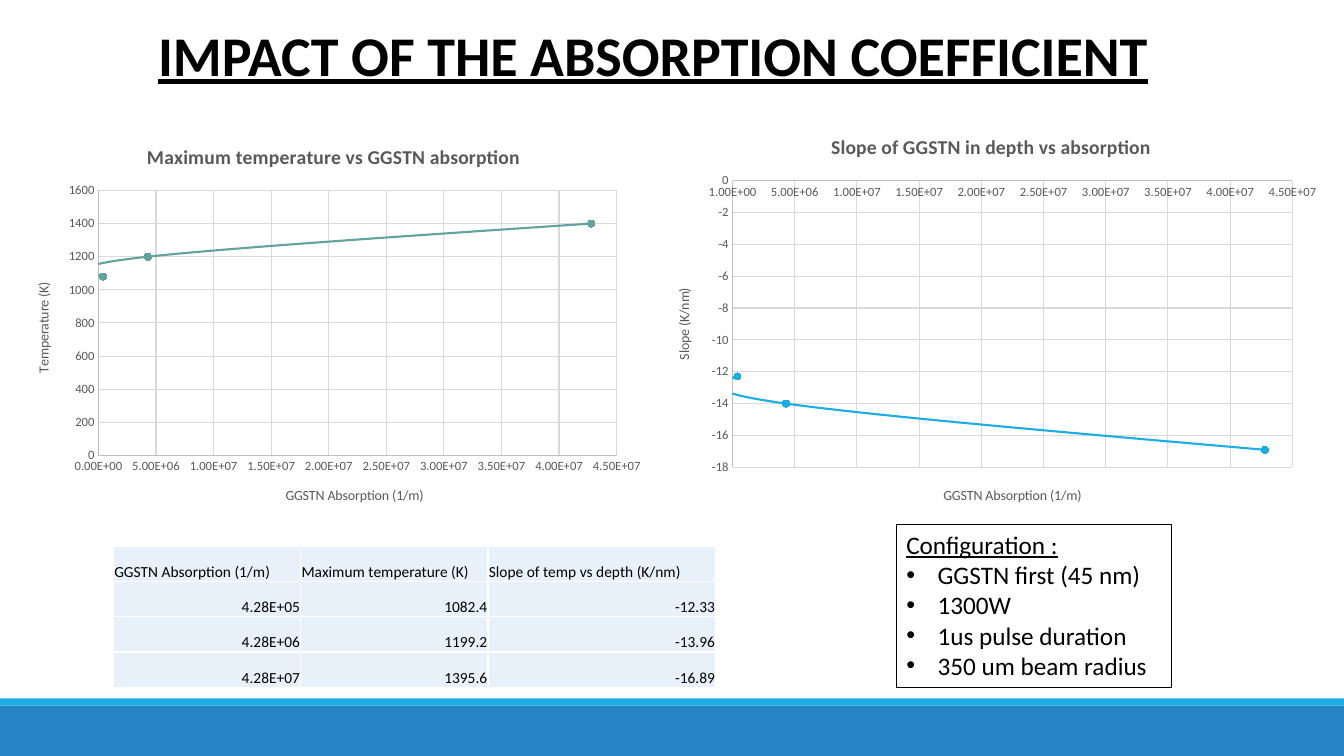
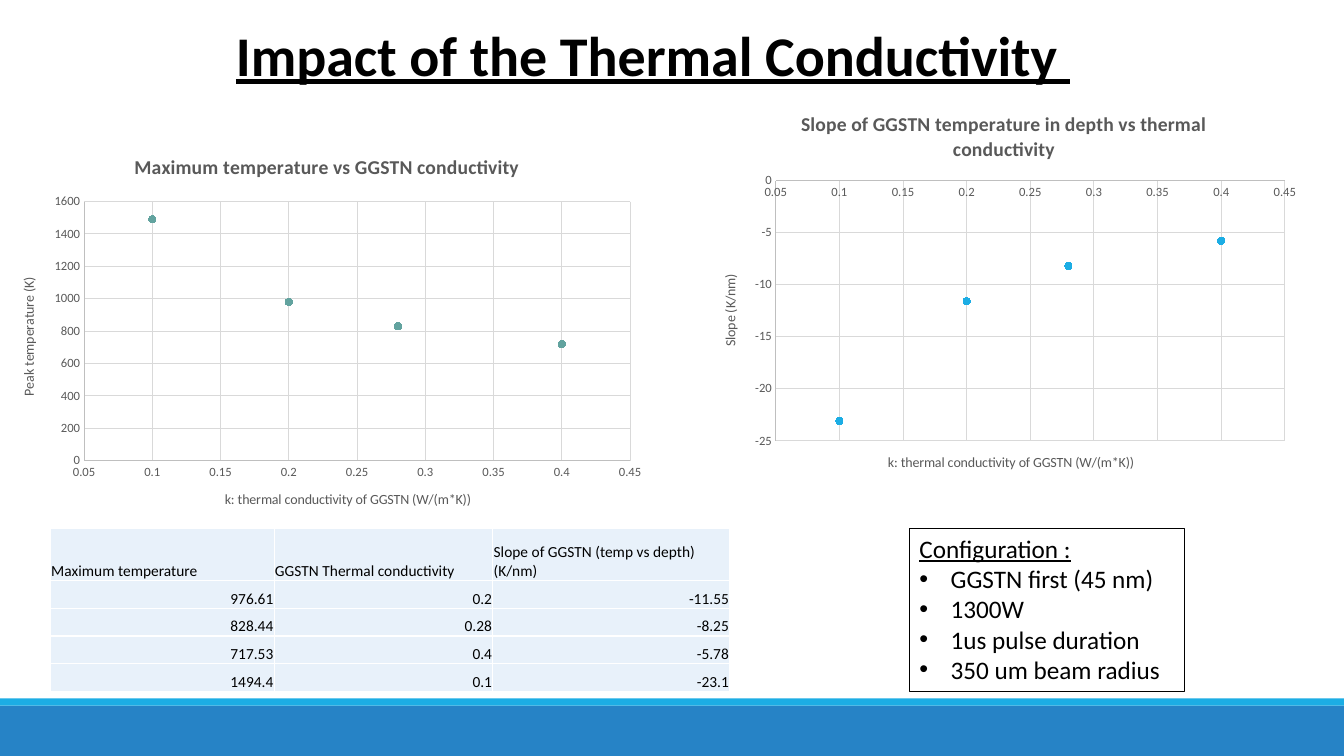
from dataclasses import dataclass

from lxml.etree import SubElement
from pptx import Presentation
from pptx.chart.data import XyChartData
from pptx.dml.color import RGBColor
from pptx.enum.chart import XL_CHART_TYPE, XL_MARKER_STYLE, XL_TICK_MARK
from pptx.enum.shapes import MSO_SHAPE
from pptx.enum.text import MSO_ANCHOR, MSO_AUTO_SIZE, PP_ALIGN
from pptx.oxml import parse_xml
from pptx.oxml.ns import nsdecls, qn
from pptx.util import Cm, Pt

FONT = "Calibri"
BLACK = RGBColor(0x00, 0x00, 0x00)
GREY_TEXT = RGBColor(0x59, 0x59, 0x59)
AXIS_GREY = RGBColor(0xBF, 0xBF, 0xBF)
GRID_GREY = RGBColor(0xD9, 0xD9, 0xD9)
BAND_BLUE = RGBColor(0x26, 0x83, 0xC6)
SKY = RGBColor(0x1C, 0xAD, 0xE4)
TEAL = RGBColor(0x62, 0xA3, 0x9F)
CELL_BLUE = RGBColor(0xE8, 0xF1, 0xFA)

SLIDE_WIDTH = 33.87
SLIDE_HEIGHT = 19.05
CONFIGURATION = ["GGSTN first (45 nm)", "1300W", "1us pulse duration", "350 um beam radius"]


@dataclass
class Axis:
    """title_at is in centimetres inside the chart; values are rounded to digits."""
    title: str
    title_at: tuple
    low: float
    high: float
    step: float
    column: int
    digits: int
    number_format: str = "General"

    def value(self, row):
        return round(float(row[self.column]), self.digits)


@dataclass
class Graph:
    """box is in centimetres on the slide, plot in centimetres inside the box."""
    title: str
    box: tuple
    plot: tuple
    x: Axis
    y: Axis
    color: RGBColor


def lengths(*values):
    return [Cm(value) for value in values]


def style_font(font, size, color=BLACK, bold=False):
    font.name = FONT
    font.size = Pt(size)
    font.color.rgb = color
    font.bold = bold


def add_master_bands(prs, slide):
    tree = prs.slide_master.element.cSld.spTree
    bands = [(17.78, 1.27, BAND_BLUE), (17.6, 0.18, SKY)]
    for number, (top, height, color) in enumerate(bands):
        band = slide.shapes.add_shape(
            MSO_SHAPE.RECTANGLE, *lengths(0, top, SLIDE_WIDTH, height))
        band.shadow.inherit = False
        band.fill.solid()
        band.fill.fore_color.rgb = color
        band.line.fill.background()
        band.element.nvSpPr.cNvPr.set("id", str(101 + number))
        tree.insert(2 + number, band.element)


def add_title(slide, text):
    title = slide.shapes.title
    title.left, title.top, title.width, title.height = lengths(3.63, 0.38, 25.65, 1.96)
    frame = title.text_frame
    frame.text = text
    frame.auto_size = MSO_AUTO_SIZE.NONE
    frame.vertical_anchor = MSO_ANCHOR.TOP
    paragraph = frame.paragraphs[0]
    paragraph.alignment = PP_ALIGN.CENTER
    font = paragraph.runs[0].font
    style_font(font, 40, bold=True)
    font.underline = True


def set_layout(parent, index, box, place, target=None):
    """Fix the place of a plot area or title inside its chart."""
    for old in parent.findall(qn("c:layout")):
        parent.remove(old)
    layout = parse_xml(f"<c:layout {nsdecls('c')}><c:manualLayout/></c:layout>")
    manual = layout[0]
    if target:
        SubElement(manual, qn("c:layoutTarget")).set("val", target)
    for side in "xy":
        SubElement(manual, qn(f"c:{side}Mode")).set("val", "edge")
    width, height = box[2:]
    for key, length, whole in zip("xywh", place, (width, height, width, height)):
        SubElement(manual, qn(f"c:{key}")).set("val", str(round(length / whole, 4)))
    parent.insert(index, layout)


def format_title(title, text, size, bold):
    title.text_frame.text = text
    style_font(title.text_frame.paragraphs[0].runs[0].font, size, GREY_TEXT, bold)


def format_axis(axis, settings, box):
    axis.minimum_scale = settings.low
    axis.maximum_scale = settings.high
    axis.major_unit = settings.step
    axis.major_tick_mark = axis.minor_tick_mark = XL_TICK_MARK.NONE
    axis.tick_labels.number_format = settings.number_format
    axis.tick_labels.number_format_is_linked = False
    style_font(axis.tick_labels.font, 9, GREY_TEXT)
    axis.has_major_gridlines = True
    for line, color in [(axis.format.line, AXIS_GREY),
                        (axis.major_gridlines.format.line, GRID_GREY)]:
        line.color.rgb = color
        line.width = Pt(0.75)
    format_title(axis.axis_title, settings.title, 10, False)
    set_layout(axis.axis_title.element, 1, box, settings.title_at)


def add_graph(slide, graph, rows, joined):
    data = XyChartData()
    points = data.add_series(graph.title)
    for row in rows:
        points.add_data_point(graph.x.value(row), graph.y.value(row))
    kind = XL_CHART_TYPE.XY_SCATTER_SMOOTH if joined else XL_CHART_TYPE.XY_SCATTER
    chart = slide.shapes.add_chart(kind, *lengths(*graph.box), data).chart
    style_font(chart.font, 10)
    chart.has_legend = False
    chart.has_title = True
    format_title(chart.chart_title, graph.title, 14, True)
    format_axis(chart.category_axis, graph.x, graph.box)
    format_axis(chart.value_axis, graph.y, graph.box)
    set_layout(chart.element.find(".//" + qn("c:plotArea")), 0,
               graph.box, graph.plot, "inner")

    plot = chart.plots[0]
    plot.vary_by_categories = False
    series = plot.series[0]
    for smooth in chart.element.iter(qn("c:smooth")):
        smooth.set("val", "1" if joined else "0")
    if joined:
        series.format.line.color.rgb = graph.color
        series.format.line.width = Pt(1.5)
    else:
        series.format.line.fill.background()
    marker = series.marker
    marker.style = XL_MARKER_STYLE.CIRCLE
    marker.size = 5
    marker.format.fill.solid()
    marker.format.fill.fore_color.rgb = graph.color
    marker.format.line.color.rgb = graph.color


def add_white_borders(cell):
    properties = cell._tc.get_or_add_tcPr()
    for index, side in enumerate(["lnL", "lnR", "lnT", "lnB"]):
        properties.insert(index, parse_xml(
            f'<a:{side} {nsdecls("a")} w="12700"><a:solidFill>'
            f'<a:srgbClr val="FFFFFF"/></a:solidFill></a:{side}>'))


def add_results(slide, left, top, widths, heights, header, rows):
    lines = [header, *rows]
    row_heights = [heights[0]] + [heights[1]] * len(rows)
    table = slide.shapes.add_table(
        len(lines), len(widths),
        *lengths(left, top, sum(widths), sum(row_heights))).table
    table.first_row = table.horz_banding = False
    for column, width in zip(table.columns, widths):
        column.width = Cm(width)
    for r, (line, height) in enumerate(zip(lines, row_heights)):
        table.rows[r].height = Cm(height)
        for c, text in enumerate(line):
            cell = table.cell(r, c)
            cell.text_frame.text = text
            cell.fill.solid()
            cell.fill.fore_color.rgb = CELL_BLUE
            cell.vertical_anchor = MSO_ANCHOR.BOTTOM
            cell.margin_left = cell.margin_right = cell.margin_top = Cm(0.02)
            cell.margin_bottom = 0
            paragraph = cell.text_frame.paragraphs[0]
            paragraph.alignment = PP_ALIGN.RIGHT if r else PP_ALIGN.LEFT
            style_font(paragraph.runs[0].font, 11)
            add_white_borders(cell)


def add_configuration(slide, left, top):
    box = slide.shapes.add_shape(MSO_SHAPE.RECTANGLE, *lengths(left, top, 6.93, 4.11))
    box.shadow.inherit = False
    box.fill.background()
    box.line.color.rgb = BLACK
    box.line.width = Pt(0.75)
    frame = box.text_frame
    frame.word_wrap = True
    frame.vertical_anchor = MSO_ANCHOR.TOP
    frame.text = "\n".join(["Configuration :", *CONFIGURATION])
    for index, paragraph in enumerate(frame.paragraphs):
        paragraph.alignment = PP_ALIGN.LEFT
        font = paragraph.runs[0].font
        style_font(font, 18)
        font.underline = index == 0
        if index:
            properties = paragraph._p.get_or_add_pPr()
            properties.set("marL", str(Cm(0.79)))
            properties.set("indent", str(-Cm(0.79)))
            SubElement(properties, qn("a:buFont")).set("typeface", "Arial")
            SubElement(properties, qn("a:buChar")).set("char", "•")


def add_study(slide, title, graphs, joined, results, configuration_at):
    add_title(slide, title)
    for graph in graphs:
        add_graph(slide, graph, results["rows"], joined)
    add_results(slide, **results)
    add_configuration(slide, *configuration_at)


def add_absorption_study(slide):
    label = "GGSTN Absorption (1/m)"
    graphs = [
        Graph("Maximum temperature vs GGSTN absorption",
              (0.36, 3.18, 16.1, 10.03), (2.12, 1.62, 13.06, 6.68),
              Axis(label, (6.77, 9), 0, 45000000, 5000000, 0, -5, "0.00E+00"),
              Axis("Temperature (K)", (0.44, 3.86), 0, 1600, 200, 1, -1), TEAL),
        Graph("Slope of GGSTN in depth vs absorption",
              (16.46, 2.92, 17.04, 10.29), (2, 1.63, 14.11, 7.23),
              Axis(label, (7.25, 9.26), 1, 45000001, 5000000, 0, -5, "0.00E+00"),
              Axis("Slope (K/nm)", (0.48, 4.27), -18, 0, 2, 2, 1), SKY),
    ]
    results = dict(
        left=2.86, top=13.76, widths=(4.72, 4.72, 5.74), heights=(0.89, 0.89),
        header=(label, "Maximum temperature (K)", "Slope of temp vs depth (K/nm)"),
        rows=[("4.28E+05", "1082.4", "-12.33"),
              ("4.28E+06", "1199.2", "-13.96"),
              ("4.28E+07", "1395.6", "-16.89")])
    add_study(slide, "IMPACT OF THE ABSORPTION COEFFICIENT ", graphs, True,
              results, (22.59, 13.21))


def add_conductivity_study(slide):
    label = "k: thermal conductivity of GGSTN (W/(m*K))"
    graphs = [
        Graph("Maximum temperature vs GGSTN conductivity",
              (0, 3.45, 16.48, 9.86), (2.12, 1.63, 13.76, 6.53),
              Axis(label, (5.6, 8.84), 0.05, 0.45, 0.05, 1, 2),
              Axis("Peak temperature (K)", (0.43, 3.47), 0, 1600, 200, 0, -1), TEAL),
        Graph("Slope of GGSTN temperature in depth vs thermal conductivity",
              (17.63, 2.36, 15.34, 10.21), (1.92, 2.19, 12.83, 6.56),
              Axis(label, (4.68, 8.99), 0.05, 0.45, 0.05, 1, 2),
              Axis("Slope (K/nm)", (0.48, 4.49), -25, 0, 5, 2, 1), SKY),
    ]
    results = dict(
        left=1.27, top=13.31, widths=(5.64, 5.51, 5.97), heights=(1.32, 0.7),
        header=("Maximum temperature", "GGSTN Thermal conductivity",
                "Slope of GGSTN (temp vs depth) (K/nm)"),
        rows=[("976.61", "0.2", "-11.55"),
              ("828.44", "0.28", "-8.25"),
              ("717.53", "0.4", "-5.78"),
              ("1494.4", "0.1", "-23.1")])
    add_study(slide, "Impact of the Thermal Conductivity ", graphs, False,
              results, (22.92, 13.31))


def main():
    prs = Presentation()
    prs.slide_width, prs.slide_height = lengths(SLIDE_WIDTH, SLIDE_HEIGHT)
    title_only = prs.slide_layouts[5]
    absorption, conductivity = [prs.slides.add_slide(title_only) for _ in range(2)]
    add_master_bands(prs, absorption)
    add_absorption_study(absorption)
    add_conductivity_study(conductivity)
    prs.save("out.pptx")


if __name__ == "__main__":
    main()
